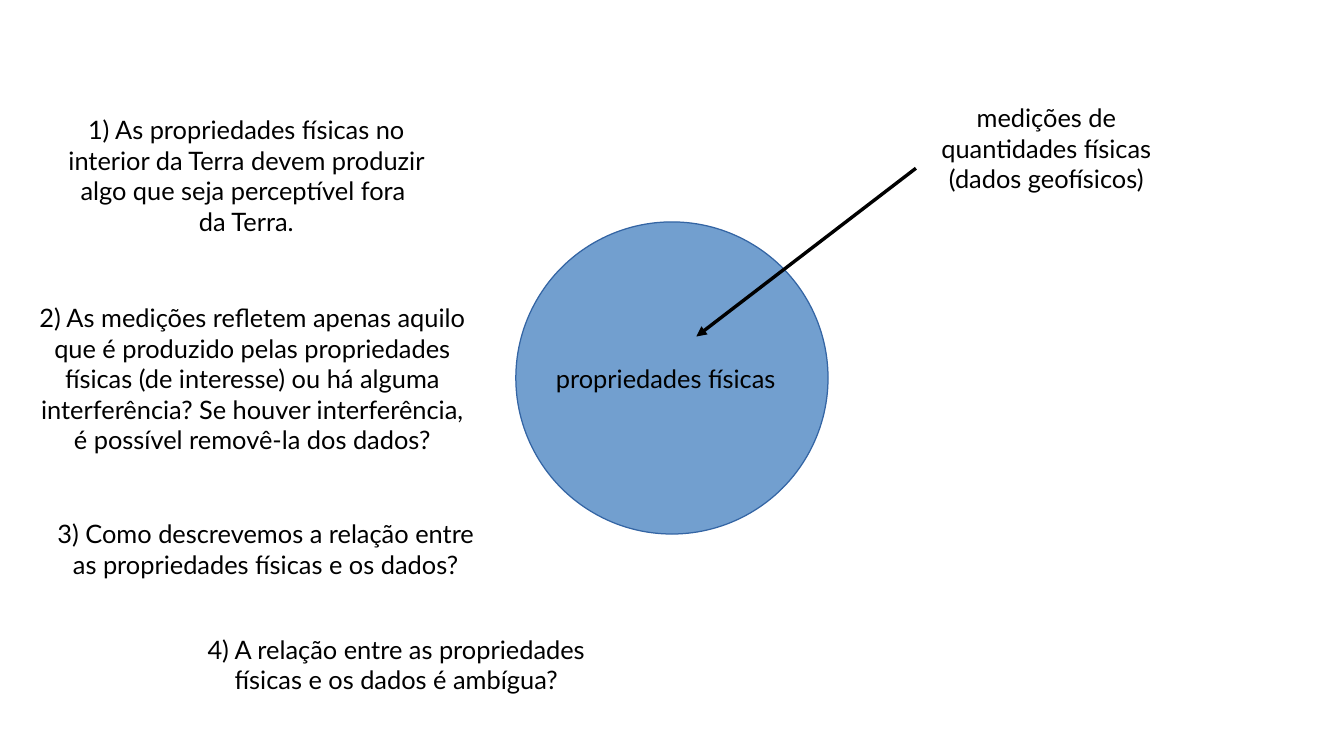
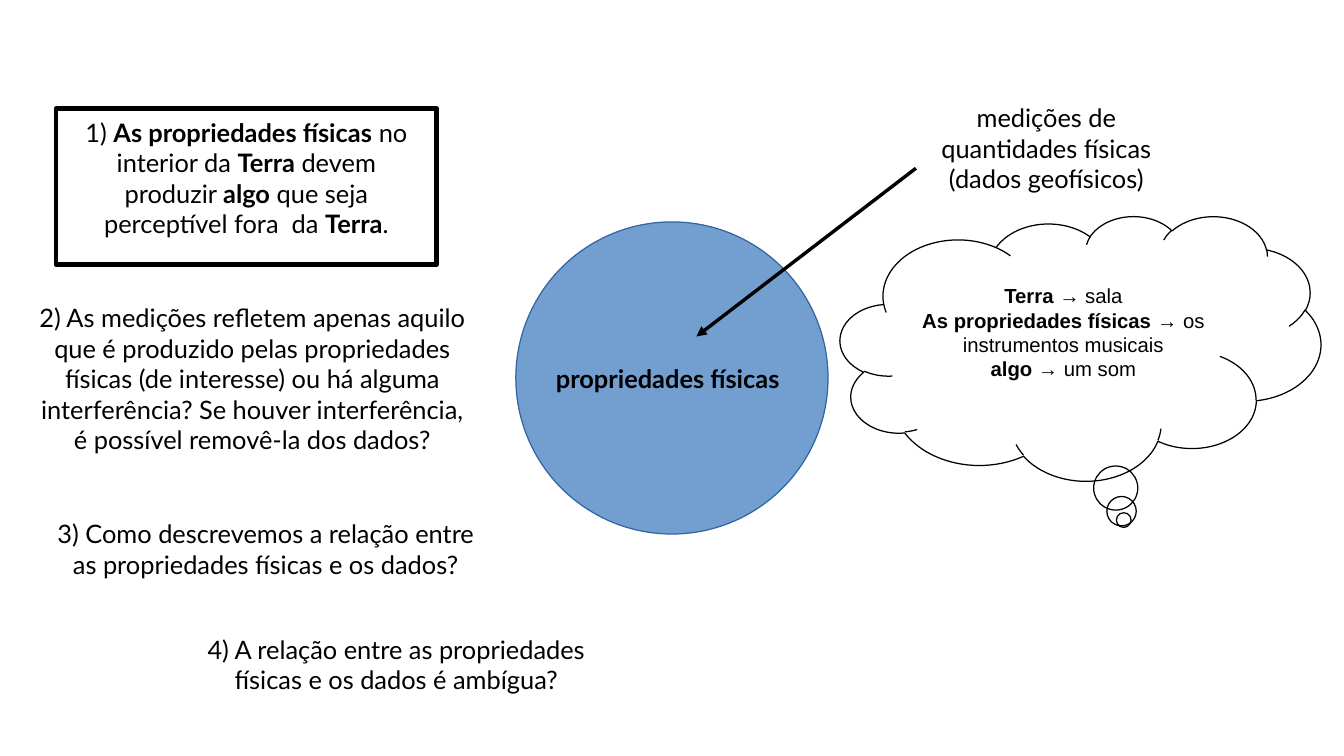
from pptx import Presentation
from pptx.dml.color import RGBColor
from pptx.enum.shapes import MSO_CONNECTOR as Connector, MSO_SHAPE as Shape
from pptx.enum.text import MSO_ANCHOR as Anchor, PP_ALIGN as Align
from pptx.oxml.ns import qn
from pptx.util import Inches, Pt
from lxml.etree import SubElement

COLORS = {"ink": "000000", "globe": "729FCF", "globe_edge": "3465A4"}
HAIRLINE = 0

QUESTION_1 = ("1) |As propriedades físicas| no interior da |Terra| devem produzir "
              "|algo| que seja perceptível fora  da |Terra|.")
LABEL = "propriedades físicas"
# left, top, width, height, text
CENTRED_TEXTS = [
    (7.51, 0.79, 2.14, 0.95, "medições de quantidades físicas (dados geofísicos)"),
    (0.2, 2.43, 3.74, 1.81,
     "2) As medições refletem apenas aquilo que é produzido pelas propriedades "
     "físicas (de interesse) ou há alguma interferência? Se houver interferência, "
     "é possível removê-la dos dados?"),
    (0.31, 4.2, 3.74, 0.95,
     "3) Como descrevemos a relação entre as propriedades físicas e os dados?"),
    (1.38, 5.15, 3.74, 0.67,
     "4) A relação entre as propriedades físicas e os dados é ambígua?"),
]
ANALOGIES = ["|Terra| → sala",
             "|As propriedades físicas| → os instrumentos musicais",
             "|algo| → um som"]


def write(box, lines, size=15, font="Lato", align=Align.CENTER, anchor=Anchor.TOP,
          inset_x=0.1, inset_top=0.05, inset_bottom=0.05):
    """Fill a box with one paragraph per line; text between bars is bold."""
    frame = box.text_frame
    frame.word_wrap = True
    frame.vertical_anchor = anchor
    frame.margin_left = frame.margin_right = Inches(inset_x)
    frame.margin_top, frame.margin_bottom = Inches(inset_top), Inches(inset_bottom)
    for number, line in enumerate(lines):
        para = frame.add_paragraph() if number else frame.paragraphs[0]
        para.alignment = align
        for position, text in enumerate(line.split("|")):
            if text:
                span = para.add_run()
                span.text = text
                span.font.name, span.font.size = font, Pt(size)
                span.font.bold = position % 2 == 1
                span.font.color.rgb = RGBColor.from_string(COLORS["ink"])


def add_outlined(page, kind, place, line_color, line_width, fill=None):
    shape = page.shapes.add_shape(kind, *map(Inches, place))
    shape.shadow.inherit = False
    if fill:
        shape.fill.solid()
        shape.fill.fore_color.rgb = RGBColor.from_string(COLORS[fill])
    else:
        shape.fill.background()
    shape.line.color.rgb = RGBColor.from_string(COLORS[line_color])
    shape.line.width = Pt(line_width)
    return shape


deck = Presentation()
deck.slide_width, deck.slide_height = Inches(11.02), Inches(6.2)

for highlighted in (False, True):
    page = deck.slides.add_slide(deck.slide_layouts[6])
    add_outlined(page, Shape.OVAL, (4.23, 1.82, 2.56, 2.56), "globe_edge", HAIRLINE, "globe")
    globe_label = page.shapes.add_textbox(*map(Inches, (4.46, 2.93, 2.14, 0.67)))
    write(globe_label, [f"|{LABEL}|" if highlighted else LABEL], align=Align.LEFT)

    arrow = page.shapes.add_connector(Connector.STRAIGHT,
                                      *map(Inches, (7.51, 1.38, 5.71, 2.76)))
    arrow.line.color.rgb = RGBColor.from_string(COLORS["ink"])
    arrow.line.width = Pt(HAIRLINE)
    SubElement(arrow.line._get_or_add_ln(), qn("a:tailEnd"), type="triangle")
    SubElement(arrow._element.spPr, qn("a:effectLst"))

    if highlighted:
        question = add_outlined(page, Shape.RECTANGLE, (0.46, 0.89, 3.12, 1.28), "ink", 2.83)
        write(question, [QUESTION_1], inset_x=0.12, inset_top=0.07, inset_bottom=0.07)
    else:
        question = page.shapes.add_textbox(*map(Inches, (0.46, 0.89, 3.12, 1.24)))
        write(question, [QUESTION_1.replace("|", "")])

    for *place, text in CENTRED_TEXTS:
        write(page.shapes.add_textbox(*map(Inches, place)), [text])

    if highlighted:
        cloud = add_outlined(page, Shape.CLOUD_CALLOUT, (6.89, 1.77, 3.94, 2.17), "ink", HAIRLINE)
        cloud.adjustments[0], cloud.adjustments[1] = 0.09, 0.65
        write(cloud, ANALOGIES, size=12, font="Arial", anchor=Anchor.MIDDLE, inset_bottom=0.21)

deck.save("out.pptx")
